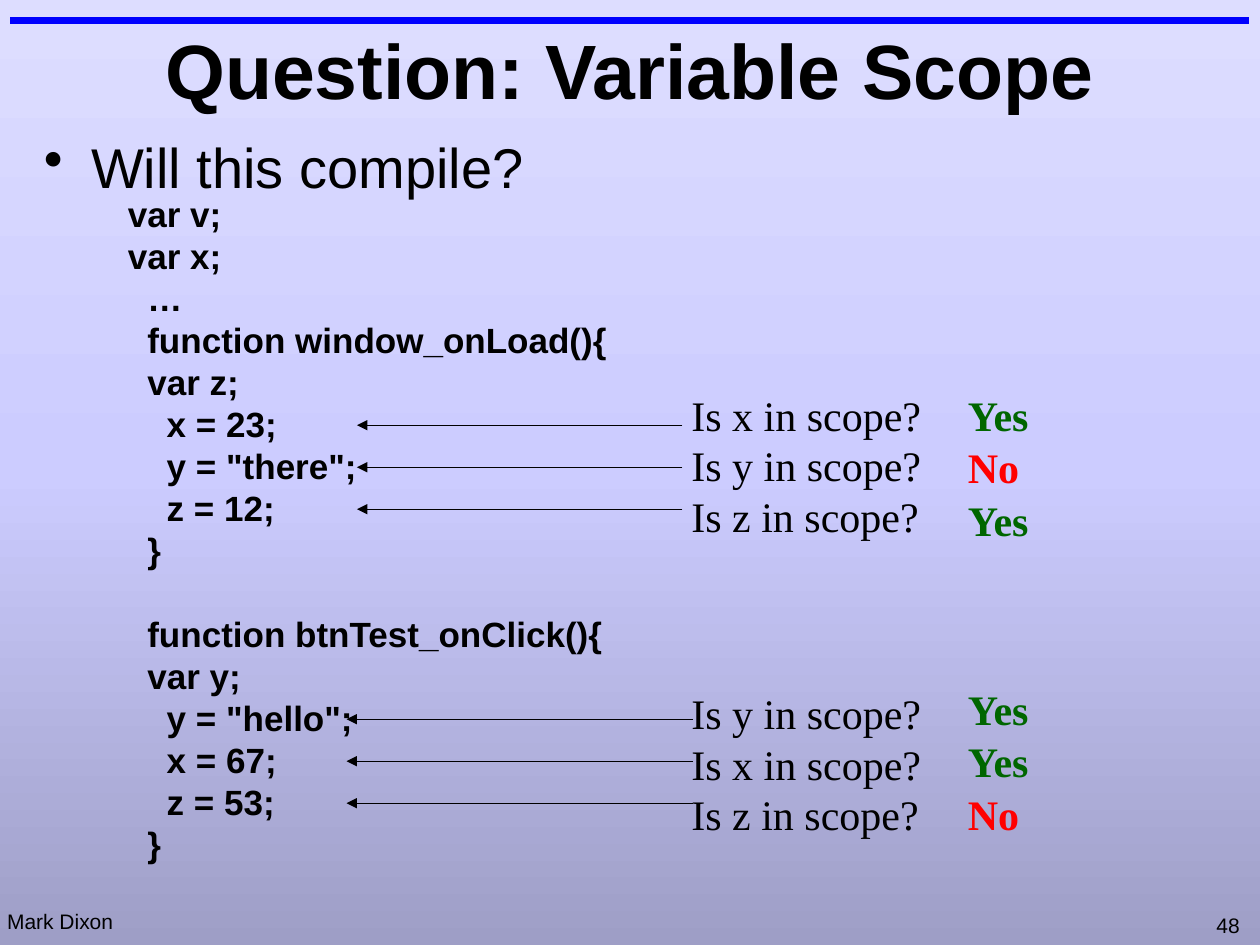
"""Build the variable scope question slide."""
from copy import deepcopy
from dataclasses import dataclass

from pptx import Presentation
from pptx import util as u
from pptx.dml.color import RGBColor
from pptx.enum import shapes, text
from pptx.oxml.ns import qn
from pptx.oxml.xmlchemy import OxmlElement

BLACK = RGBColor(0x00, 0x00, 0x00)
BLUE = RGBColor(0x00, 0x00, 0xFF)
GREEN = RGBColor(0x00, 0x66, 0x00)
RED = RGBColor(0xFF, 0x00, 0x00)
BACKGROUND = (
    (0, RGBColor(0xDD, 0xDD, 0xFF)),
    (0.5, RGBColor(0xCC, 0xCC, 0xFF)),
    (1, RGBColor(0x9E, 0x9E, 0xC6)),
)
SANS, SERIF = "Arial", "Times New Roman"
LINE_PITCH = 1.2
CODE_STEP = 24
ANSWER_STEP = 30
INDENT = 11.1


@dataclass(frozen=True)
class Style:
    size: float
    font: str = SANS
    color: RGBColor = BLACK
    bold: bool = False
    pitch: float | None = None


@dataclass(frozen=True)
class Box:
    left: float
    top: float
    width: float
    height: float
    wrap: bool = False


@dataclass(frozen=True)
class Quiz:
    variables: str
    answers: tuple[str, ...]
    question_top: float
    answer_top: float
    arrow_top: float
    arrow_start: float
    arrow_end: float


CODE_STYLE = Style(20, bold=True, pitch=LINE_PITCH)
QUESTION_STYLE = Style(24, SERIF, pitch=LINE_PITCH)
ANSWER_STYLES = {
    "Yes": Style(24, SERIF, GREEN, True, LINE_PITCH),
    "No": Style(24, SERIF, RED, True, LINE_PITCH),
}
FUNCTIONS = (
    ((0, "var v;"), (0, "var x;"), (1, "…"),
     (1, "function window_onLoad(){"), (1, "var z;"),
     (2, "x = 23;"), (2, 'y = "there";'), (2, "z = 12;"), (1, "}")),
    ((1, "function btnTest_onClick(){"), (1, "var y;"),
     (2, 'y = "hello";'), (2, "x = 67;"), (2, "z = 53;"), (1, "}")),
)
QUIZZES = (
    Quiz("xyz", ("Yes", "No", "Yes"), 219, 219, 243, 390, 204),
    Quiz("yxz", ("Yes", "Yes", "No"), 389.5, 387, 411, 396, 198),
)


def add_text(slide, box: Box, lines: list[str], style: Style):
    """Add a text box with one paragraph per line and return its frame."""
    shape = slide.shapes.add_textbox(
        u.Pt(box.left), u.Pt(box.top), u.Pt(box.width), u.Pt(box.height))
    frame = shape.text_frame
    frame.text = "\n".join(lines)
    frame.word_wrap = box.wrap
    for paragraph in frame.paragraphs:
        if style.pitch:
            paragraph.line_spacing = u.Pt(style.size * style.pitch)
        for run in paragraph.runs:
            run.font.size = u.Pt(style.size)
            run.font.name = style.font
            run.font.bold = style.bold
            run.font.color.rgb = style.color
    return frame


def set_indent(paragraph, left: float, first: float = 0) -> None:
    """Set the left margin and first line indent of a paragraph."""
    properties = paragraph._p.get_or_add_pPr()
    properties.set("marL", str(u.Pt(left)))
    properties.set("indent", str(u.Pt(first)))


def add_bullet(paragraph) -> None:
    """Give a paragraph a round bullet."""
    bullet = OxmlElement("a:buChar")
    bullet.set("char", "•")
    paragraph._p.get_or_add_pPr().append(bullet)


def add_line(slide, start: float, end: float, y: float, color: RGBColor,
             width: float, arrow: bool = False) -> None:
    """Draw a horizontal line, with an arrowhead at its end if asked."""
    connector = slide.shapes.add_connector(
        shapes.MSO_CONNECTOR.STRAIGHT, u.Pt(start), u.Pt(y), u.Pt(end), u.Pt(y))
    connector.line.color.rgb = color
    connector.line.width = u.Pt(width)
    if arrow:
        head = OxmlElement("a:tailEnd")
        head.set("type", "triangle")
        connector.line._get_or_add_ln().append(head)
    connector._element.spPr.append(OxmlElement("a:effectLst"))


def paint_background(slide) -> None:
    """Fill the background with a three-colour vertical gradient."""
    fill = slide.background.fill
    fill.gradient()
    fill.gradient_angle = 270
    stop_list = slide.element.find(".//" + qn("a:gsLst"))
    stop_list.append(deepcopy(stop_list[0]))
    for stop, (position, color) in zip(fill.gradient_stops, BACKGROUND):
        stop.position = position
        stop.color.rgb = color


def add_code(slide) -> None:
    """Add the code listing, with a gap between its two functions."""
    lines = [line for function in FUNCTIONS for line in function]
    frame = add_text(slide, Box(66, 106.5, 528, 391, True),
                     [words for _, words in lines], CODE_STYLE)
    for paragraph, (level, _) in zip(frame.paragraphs, lines):
        set_indent(paragraph, level * INDENT)
    frame.paragraphs[len(FUNCTIONS[0])].space_before = u.Pt(CODE_STEP)


def add_quiz(slide, quiz: Quiz) -> None:
    """Add the arrows, questions and answers for one function."""
    questions = [f"Is {variable} in scope?" for variable in quiz.variables]
    add_text(slide, Box(388, quiz.question_top, 145.5, 93.6),
             questions, QUESTION_STYLE)
    for index, answer in enumerate(quiz.answers):
        add_line(slide, quiz.arrow_start, quiz.arrow_end,
                 quiz.arrow_top + index * CODE_STEP, BLACK, 0.75, True)
        add_text(slide, Box(546, quiz.answer_top + index * ANSWER_STEP, 52, 36),
                 [answer], ANSWER_STYLES[answer])


def main() -> None:
    """Build and save the slide."""
    presentation = Presentation()
    presentation.slide_width = u.Pt(720)
    presentation.slide_height = u.Pt(540)
    slide = presentation.slides.add_slide(presentation.slide_layouts[6])
    paint_background(slide)
    add_line(slide, 6, 714, 12, BLUE, 4)
    add_text(slide, Box(-3, 515.5, 75, 21.6), ["Mark Dixon"], Style(12))
    add_text(slide, Box(688, 518, 29, 21.6), ["48"], Style(12))

    title = add_text(slide, Box(12, -6, 696, 90, True),
                     ["Question: Variable Scope"], Style(44, bold=True))
    title.vertical_anchor = text.MSO_ANCHOR.MIDDLE
    title.paragraphs[0].alignment = text.PP_ALIGN.CENTER

    body = add_text(slide, Box(18, 72, 684, 426, True),
                    ["Will this compile?"], Style(32))
    body.paragraphs[0].space_before = u.Pt(6.4)
    set_indent(body.paragraphs[0], 27, -27)
    add_bullet(body.paragraphs[0])

    add_code(slide)
    for quiz in QUIZZES:
        add_quiz(slide, quiz)
    presentation.save("out.pptx")


if __name__ == "__main__":
    main()
